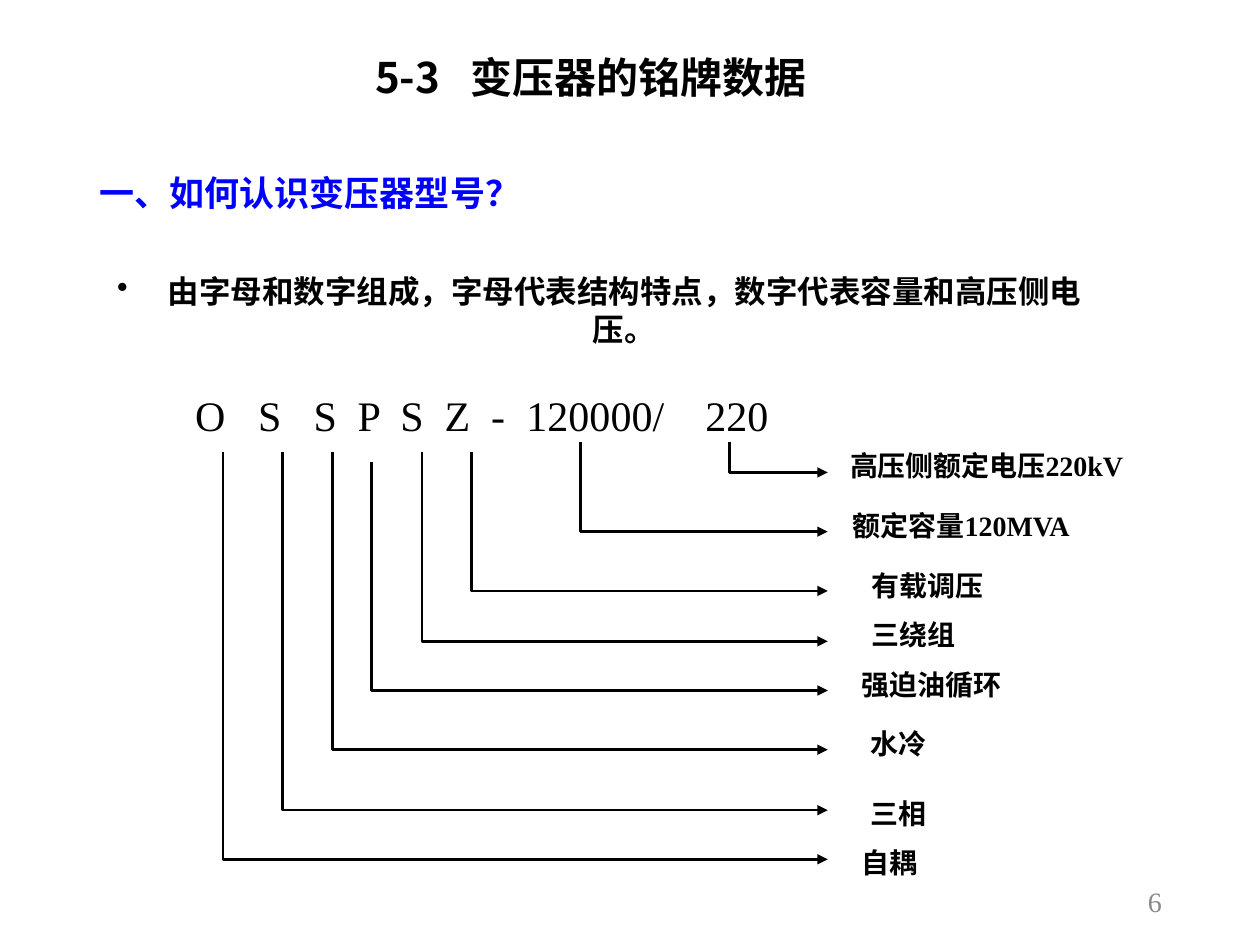
"""Build a slide that explains the parts of a transformer model code."""
from lxml.etree import SubElement
from pptx import Presentation
from pptx.dml.color import RGBColor
from pptx.enum.text import MSO_ANCHOR, PP_ALIGN
from pptx.oxml.ns import qn
from pptx.util import Inches, Pt

LEFT, MID, RIGHT = PP_ALIGN.LEFT, PP_ALIGN.CENTER, PP_ALIGN.RIGHT
TOP, CENTER = MSO_ANCHOR.TOP, MSO_ANCHOR.MIDDLE
BLACK = RGBColor(0x00, 0x00, 0x00)
BLUE = RGBColor(0x00, 0x00, 0xFF)
GRAY = RGBColor(0x89, 0x89, 0x89)
SERIF, SANS = "Times New Roman", "Noto Sans CJK SC"

TITLE = "5-3\t变压器的铭牌数据"
HEAD = "一、如何认识变压器型号？"
POINT = "由字母和数字组成，字母代表结构特点，数字代表容量和高压侧电压。"
CODE = ["O", "S", "S", "P", "S", "Z", "-", "120000/", "220"]
STOPS = [0.5, 0.94, 1.29, 1.63, 1.98, 2.35, 2.63, 4.05]
TIP = 6.57
# label, box (left, top, width), line (x, top, bottom)
PARTS = [
    ("高压侧额定电压220kV", (6.6, 3.51, 2.46), (5.79, 3.51, 3.75)),
    ("额定容量120MVA", (6.61, 3.99, 2.04), (4.61, 3.51, 4.22)),
    ("有载调压", (6.8, 4.46, 1.12), (3.74, 3.59, 4.69)),
    ("三绕组", (6.8, 4.85, 0.9), (3.35, 3.59, 5.09)),
    ("强迫油循环", (6.72, 5.25, 1.35), (2.95, 3.67, 5.48)),
    ("水冷", (6.79, 5.72, 0.68), (2.64, 3.59, 5.95)),
    ("三相", (6.79, 6.27, 0.68), (2.24, 3.59, 6.43)),
    ("自耦", (6.72, 6.66, 0.68), (1.77, 3.59, 6.82)),
]


def write(slide, text, box, size=16, bold=False, color=BLACK, font=SERIF,
          align=MID, anchor=TOP, wrap=False, stops=(), hang=0):
    shape = slide.shapes.add_textbox(*map(Inches, box))
    frame = shape.text_frame
    frame.word_wrap = wrap
    frame.vertical_anchor = anchor
    para = frame.paragraphs[0]
    para.alignment = align
    props = para._p.get_or_add_pPr()
    if hang:
        props.set("marL", str(Inches(hang)))
        props.set("indent", str(-Inches(hang)))
        props.set("hangingPunct", "0")
        SubElement(props, qn("a:buChar"), char="•")
    if stops:
        tabs = SubElement(props, qn("a:tabLst"))
        for stop in stops:
            SubElement(tabs, qn("a:tab"), pos=str(Inches(stop)), algn="l")
    run = para.add_run()
    run.text = text
    run.font.size = Pt(size)
    run.font.bold = bold
    run.font.name = font
    run.font.color.rgb = color
    SubElement(run._r.get_or_add_rPr(), qn("a:ea"), typeface=SANS)


def arrow(slide, x, top, low):
    pen = slide.shapes.build_freeform(Inches(x), Inches(top))
    ends = [(Inches(x), Inches(low)), (Inches(TIP), Inches(low))]
    pen.add_line_segments(ends, close=False)
    shape = pen.convert_to_shape()
    shape.shadow.inherit = False
    shape.fill.background()
    shape.line.color.rgb = BLACK
    shape.line.width = Pt(1.5)
    SubElement(shape.line._get_or_add_ln(), qn("a:tailEnd"), type="triangle")


def main():
    deck = Presentation()
    deck.slide_width, deck.slide_height = Inches(10), Inches(7.5)
    slide = deck.slides.add_slide(deck.slide_layouts[6])
    write(slide, TITLE, (2.88, 0.36, 4.03, 0.5), size=24, bold=True,
          font=SANS, align=LEFT, wrap=True, stops=[0.76])
    write(slide, HEAD, (0.69, 1.31, 3.54, 0.44), size=20, bold=True,
          color=BLUE)
    write(slide, POINT, (0.64, 2.11, 8.23, 0.4), size=18, bold=True,
          wrap=True, hang=0.4)
    write(slide, "\t".join(CODE), (1.45, 3.04, 4.75, 0.5), size=24,
          align=LEFT, wrap=True, stops=STOPS)
    for label, (left, top, width), line in PARTS:
        arrow(slide, *line)
        write(slide, label, (left, top, width, 0.37), bold=True)
    write(slide, "6", (7.07, 6.95, 2.25, 0.4), color=GRAY, align=RIGHT,
          anchor=CENTER, wrap=True)
    deck.save("out.pptx")


if __name__ == "__main__":
    main()
